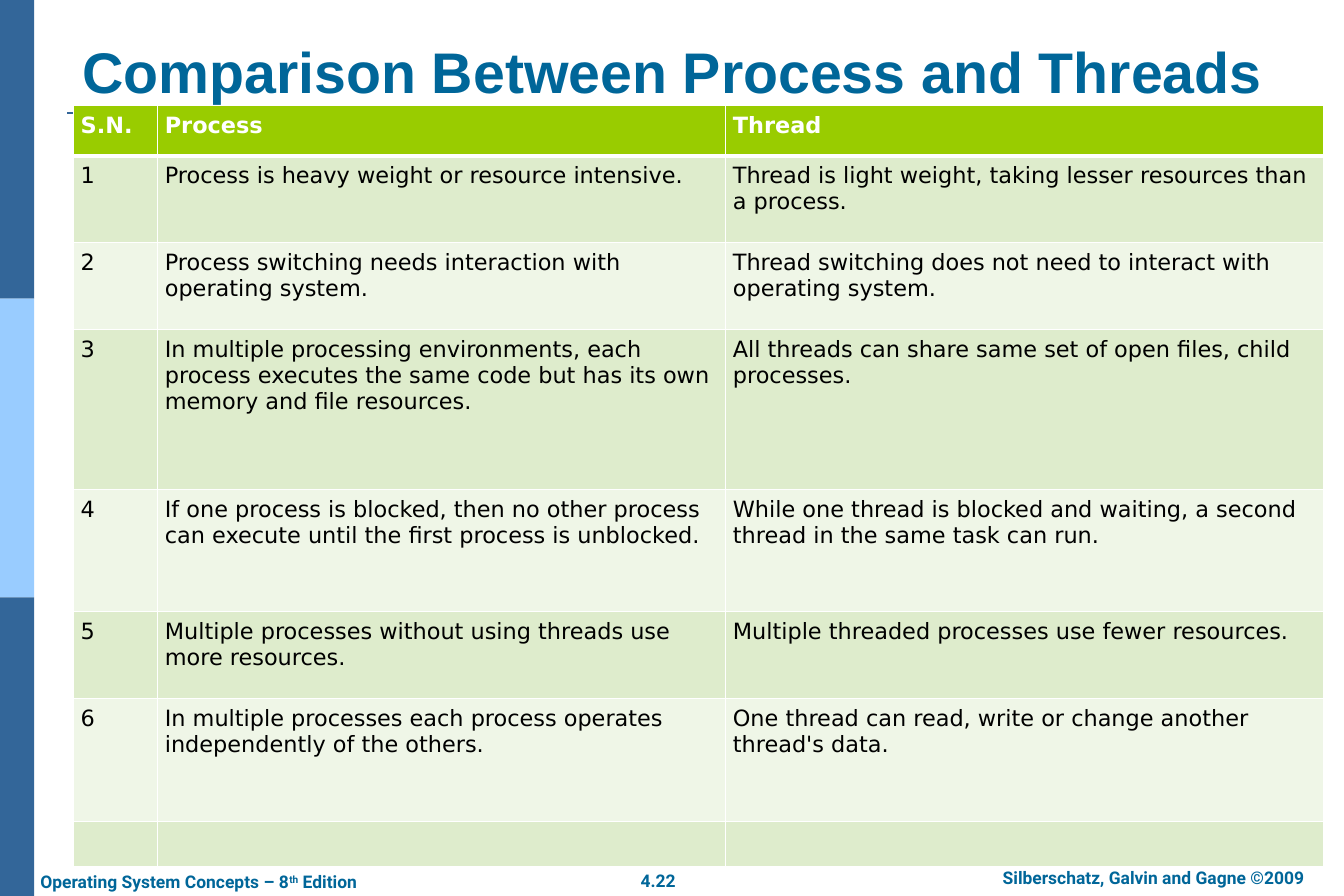
from lxml import etree
from pptx import Presentation
from pptx.dml.color import RGBColor
from pptx.enum import shapes, text
from pptx.oxml import ns
from pptx.util import Emu, Pt

PX = 9144  # 100 px to the inch
COLORS = {
    "navy": "336699", "sky": "99CCFF", "teal": "006699", "lime": "99CC00",
    "green": "DEECCC", "pale": "EFF6E7", "white": "FFFFFF", "black": "000000",
}


def color(name):
    return RGBColor.from_string(COLORS[name])


def format_runs(paragraph, font, size, name, bold):
    for run in paragraph.runs:
        run.font.name = font
        run.font.size = Pt(size)
        run.font.color.rgb = color(name)
        run.font.bold = bold


presentation = Presentation()
presentation.slide_width = Emu(1500 * PX)
presentation.slide_height = Emu(1000 * PX)
slide = presentation.slides.add_slide(presentation.slide_layouts[6])

# Side bands: three equal parts of the slide height
for index, name in enumerate(["navy", "sky", "navy"]):
    band = slide.shapes.add_shape(
        shapes.MSO_SHAPE.RECTANGLE, 0, 1000 * PX * index // 3, 38 * PX, 1000 * PX // 3)
    band.shadow.inherit = False
    band.fill.solid()
    band.fill.fore_color.rgb = color(name)
    band.line.fill.background()

# Rule under the title
rule = slide.shapes.add_connector(
    shapes.MSO_CONNECTOR.STRAIGHT, 75 * PX, 126 * PX, 1400 * PX, 126 * PX)
rule.line.color.rgb = color("navy")
rule.line.width = Pt(1.5)
etree.SubElement(rule._element.spPr, ns.qn("a:effectLst"))

# Footer and title: position, wrap, alignment, anchor, font, size, run texts
LEFT, CENTER = text.PP_ALIGN.LEFT, text.PP_ALIGN.CENTER
TOP, BOTTOM = text.MSO_ANCHOR.TOP, text.MSO_ANCHOR.BOTTOM
labels = [
    ((700, 964, 69, 38), False, CENTER, TOP, "Roboto", 14, ["4.22"]),
    ((1065, 961, 445, 38), True, CENTER, TOP, "Roboto", 14,
     ["Silberschatz, Galvin and Gagne ©2009"]),
    ((31, 965, 403, 38), False, LEFT, TOP, "Roboto", 14,
     ["Operating System Concepts – 8", "th", " Edition"]),
    ((75, 40, 1350, 84), True, CENTER, BOTTOM, "Arial", 46,
     ["Comparison Between Process and Threads"]),
]
for position, wrap, alignment, anchor, font, size, parts in labels:
    box = slide.shapes.add_textbox(*[length * PX for length in position])
    frame = box.text_frame
    frame.word_wrap = wrap
    frame.vertical_anchor = anchor
    frame.margin_left = frame.margin_right = 14 * PX
    frame.margin_top = frame.margin_bottom = 7 * PX
    paragraph = frame.paragraphs[0]
    paragraph.alignment = alignment
    for part in parts:
        run = paragraph.add_run()
        run.text = part
        if part == "th":
            run.font._element.set("baseline", "30000")
    format_runs(paragraph, font, size, "teal", True)

# Comparison table
rows = [
    ("S.N.", "Process", "Thread"),
    ("1", "Process is heavy weight or resource intensive.",
     "Thread is light weight, taking lesser resources than a process."),
    ("2", "Process switching needs interaction with operating system.",
     "Thread switching does not need to interact with operating system."),
    ("3", "In multiple processing environments, each process executes the same code "
     "but has its own memory and file resources.",
     "All threads can share same set of open files, child processes."),
    ("4", "If one process is blocked, then no other process can execute until the "
     "first process is unblocked.",
     "While one thread is blocked and waiting, a second thread in the same task can run."),
    ("5", "Multiple processes without using threads use more resources.",
     "Multiple threaded processes use fewer resources."),
    ("6", "In multiple processes each process operates independently of the others.",
     "One thread can read, write or change another thread's data."),
    ("", "", ""),
]
column_widths = [94, 634, 667]
row_heights = [56, 97, 97, 178, 137, 97, 137, 50]
table = slide.shapes.add_table(
    len(rows), len(column_widths), 82 * PX, 118 * PX,
    sum(column_widths) * PX, sum(row_heights) * PX).table
for column, width in zip(table.columns, column_widths):
    column.width = width * PX
for row, height in zip(table.rows, row_heights):
    row.height = height * PX

for row_index, row in enumerate(rows):
    header = row_index == 0
    fill = "lime" if header else ("green" if row_index % 2 else "pale")
    for column_index, words in enumerate(row):
        cell = table.cell(row_index, column_index)
        cell.margin_left = cell.margin_right = 8 * PX
        cell.margin_top = cell.margin_bottom = 8 * PX
        # White borders, thicker between header and body
        properties = cell._tc.get_or_add_tcPr()
        for side in ("lnL", "lnR", "lnT", "lnB"):
            thick = (side == "lnB" and header) or (side == "lnT" and row_index == 1)
            border = etree.SubElement(
                properties, ns.qn("a:" + side), w=str(Pt(3 if thick else 1)))
            solid = etree.SubElement(border, ns.qn("a:solidFill"))
            etree.SubElement(solid, ns.qn("a:srgbClr"), val=COLORS["white"])
        cell.fill.solid()
        cell.fill.fore_color.rgb = color(fill)
        if words:
            cell.text_frame.text = words
            format_runs(cell.text_frame.paragraphs[0], "DejaVu Sans", 18,
                        "white" if header else "black", header)

presentation.save("out.pptx")
